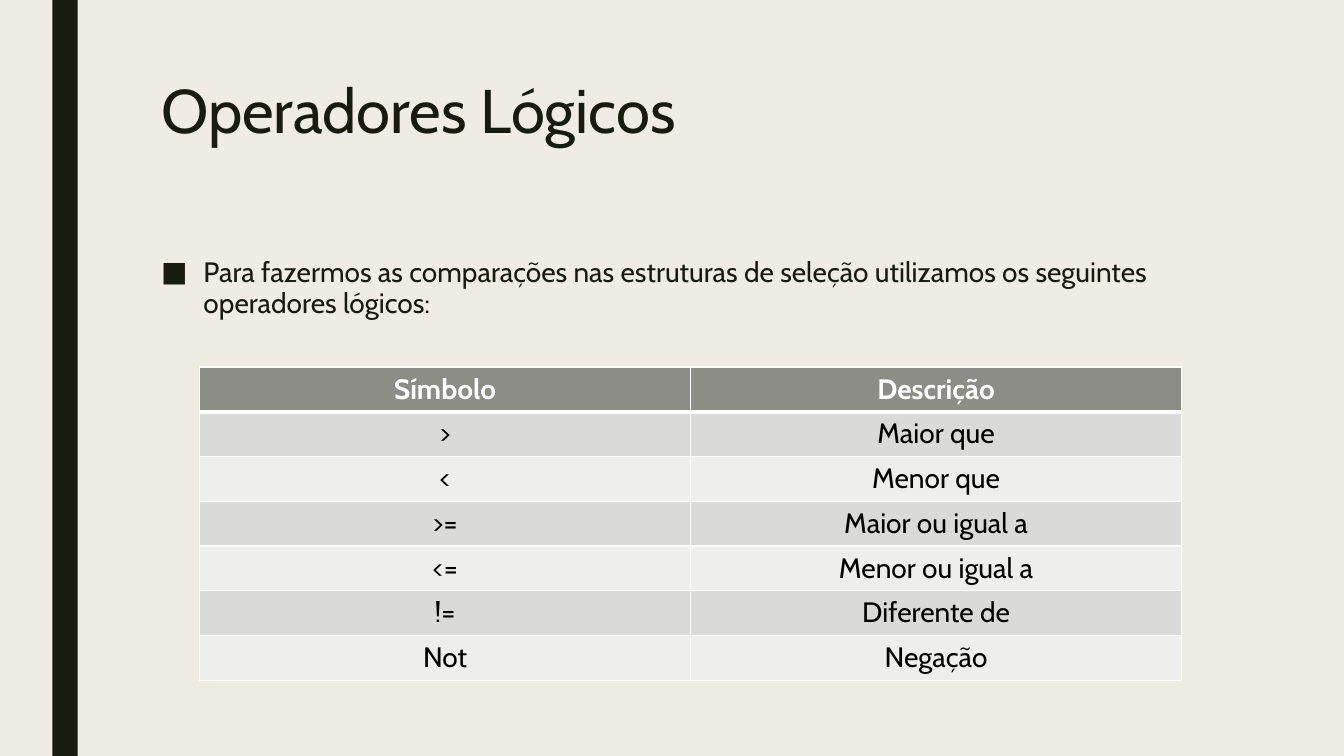
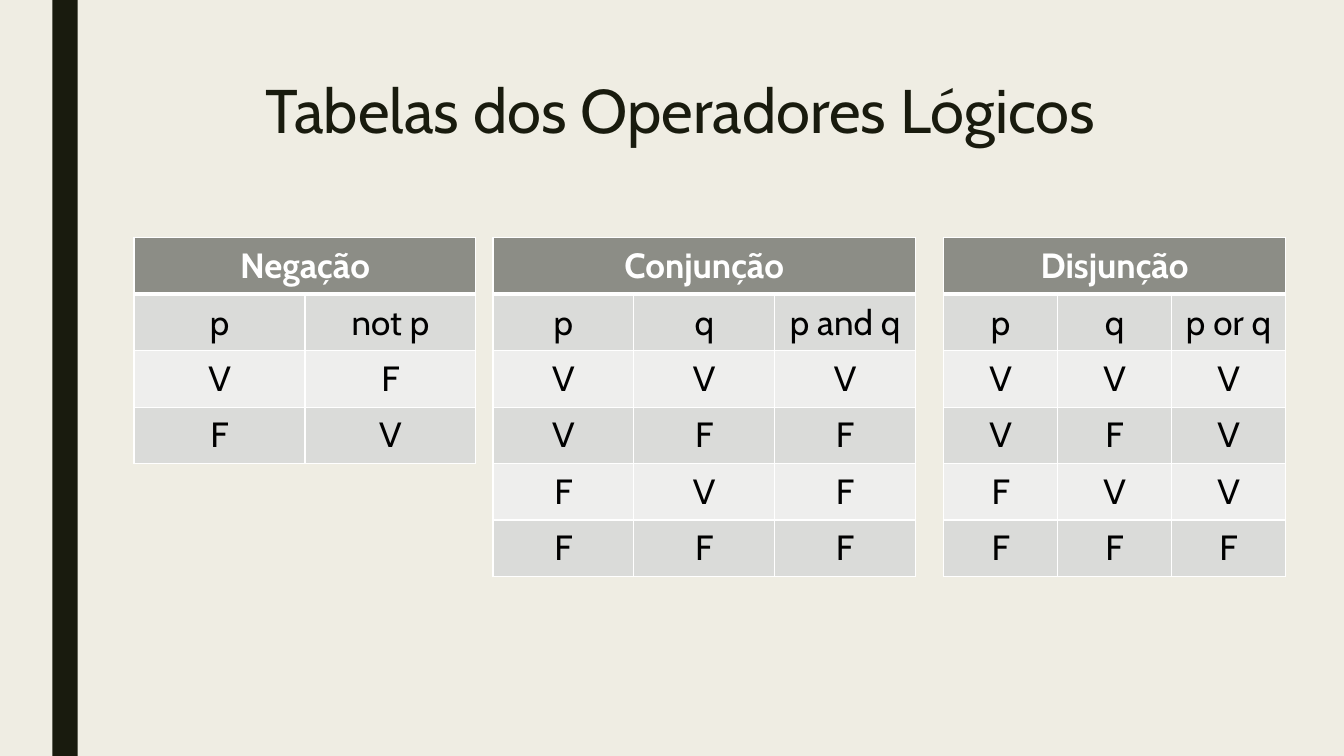
from lxml import etree
from pptx import Presentation
from pptx.dml.color import RGBColor
from pptx.enum.shapes import MSO_SHAPE
from pptx.enum.text import PP_ALIGN
from pptx.oxml.ns import qn
from pptx.util import Inches, Pt

RECT = MSO_SHAPE.RECTANGLE
LEFT = PP_ALIGN.LEFT
MID = PP_ALIGN.CENTER

HUES = {
    "paper": "EFEDE3",
    "ink": "191B0E",
    "head": "8C8D86",
    "odd": "DADBD9",
    "even": "EEEEED",
    "white": "FFFFFF",
    "black": "000000",
}


def hue(name):
    return RGBColor.from_string(HUES[name])


class Deck:
    font = "Cabin"

    def __init__(self):
        self.prs = Presentation()
        self.prs.slide_width = Inches(13.33)
        self.prs.slide_height = Inches(7.5)
        self.slide = None

    def start(self, title, align=LEFT):
        self.slide = self.prs.slides.add_slide(self.prs.slide_layouts[6])
        back = self.slide.background.fill
        back.solid()
        back.fore_color.rgb = hue("paper")
        self.band()
        para = self.text(1.5, 0.75, 10.5, 1.62, title, 44)
        para.alignment = align
        para.line_spacing = 0.89

    def band(self):
        bar = self.slide.shapes.add_shape(
            RECT, Inches(0.52), 0, Inches(0.25), self.prs.slide_height)
        bar.shadow.inherit = False
        bar.fill.solid()
        bar.fill.fore_color.rgb = hue("ink")
        bar.line.fill.background()

    def run(self, para, text, size, color, bold=False):
        run = para.add_run()
        run.text = text
        run.font.name = self.font
        run.font.size = Pt(size)
        run.font.bold = bold
        run.font.color.rgb = hue(color)

    def text(self, x, y, w, h, text, size):
        box = self.slide.shapes.add_textbox(
            Inches(x), Inches(y), Inches(w), Inches(h))
        box.text_frame.word_wrap = True
        para = box.text_frame.paragraphs[0]
        self.run(para, text, size, "ink")
        return para

    def bullet(self, x, y, w, h, text):
        para = self.text(x, y, w, h, text, 20)
        para.line_spacing = 0.94
        para.space_before = Pt(10)
        para.space_after = Pt(2)
        props = para._p.get_or_add_pPr()
        props.set("marL", str(Inches(0.42)))
        props.set("indent", str(-Inches(0.42)))
        etree.SubElement(props, qn("a:buFont")).set("typeface", self.font)
        etree.SubElement(props, qn("a:buChar")).set("char", "■")

    def edges(self, cell, top, base):
        props = cell._tc.get_or_add_tcPr()
        sides = (("L", 1), ("R", 1), ("T", top), ("B", base))
        for spot, (side, width) in enumerate(sides):
            line = etree.Element(qn("a:ln" + side), w=str(Pt(width)))
            fill = etree.SubElement(line, qn("a:solidFill"))
            etree.SubElement(fill, qn("a:srgbClr")).set("val", HUES["white"])
            props.insert(spot, line)

    def cell(self, cell, row, text, size, pad):
        cell.margin_left = cell.margin_right = Inches(2 * pad)
        cell.margin_top = cell.margin_bottom = Inches(pad)
        cell.fill.solid()
        shade = "head" if row == 0 else "odd" if row % 2 else "even"
        cell.fill.fore_color.rgb = hue(shade)
        self.edges(cell, 3 if row == 1 else 1, 3 if row == 0 else 1)
        if text:
            para = cell.text_frame.paragraphs[0]
            para.alignment = MID
            color = "black" if row else "white"
            self.run(para, text, size, color, row == 0)

    def table(self, x, y, w, h, rows, size, pad):
        count = len(rows[-1])
        table = self.slide.shapes.add_table(
            len(rows), count, Inches(x), Inches(y), Inches(w), Inches(h)).table
        table.first_row = False
        table.horz_banding = False
        if len(rows[0]) < count:
            table.cell(0, 0).merge(table.cell(0, count - 1))
        for r, row in enumerate(rows):
            for c in range(count):
                text = row[c] if c < len(row) else ""
                self.cell(table.cell(r, c), r, text, size, pad)

    def truth(self, x, w, title, names, lines):
        rows = [[title], names, *lines]
        self.table(x, 2.36, w, 0.56 * len(rows), rows, 25, 0.07)


def main():
    deck = Deck()

    deck.start("Operadores Lógicos")
    deck.bullet(1.5, 2.5, 10.5, 3.92,
                "Para fazermos as comparações nas estruturas de seleção "
                "utilizamos os seguintes operadores lógicos:")
    signs = [
        ("Símbolo", "Descrição"),
        (">", "Maior que"),
        ("<", "Menor que"),
        (">=", "Maior ou igual a"),
        ("<=", "Menor ou igual a"),
        ("!=", "Diferente de"),
        ("Not", "Negação"),
    ]
    deck.table(1.98, 3.64, 9.74, 3.11, signs, 20, 0.05)

    deck.start("Tabelas dos Operadores Lógicos", MID)
    deck.truth(1.33, 3.39, "Negação", ["p", "not p"], ["VF", "FV"])
    deck.truth(4.89, 4.19, "Conjunção", ["p", "q", "p and q"],
               ["VVV", "VFF", "FVF", "FFF"])
    deck.truth(9.36, 3.39, "Disjunção", ["p", "q", "p or q"],
               ["VVV", "VFV", "FVV", "FFF"])

    deck.prs.save("out.pptx")


if __name__ == "__main__":
    main()
